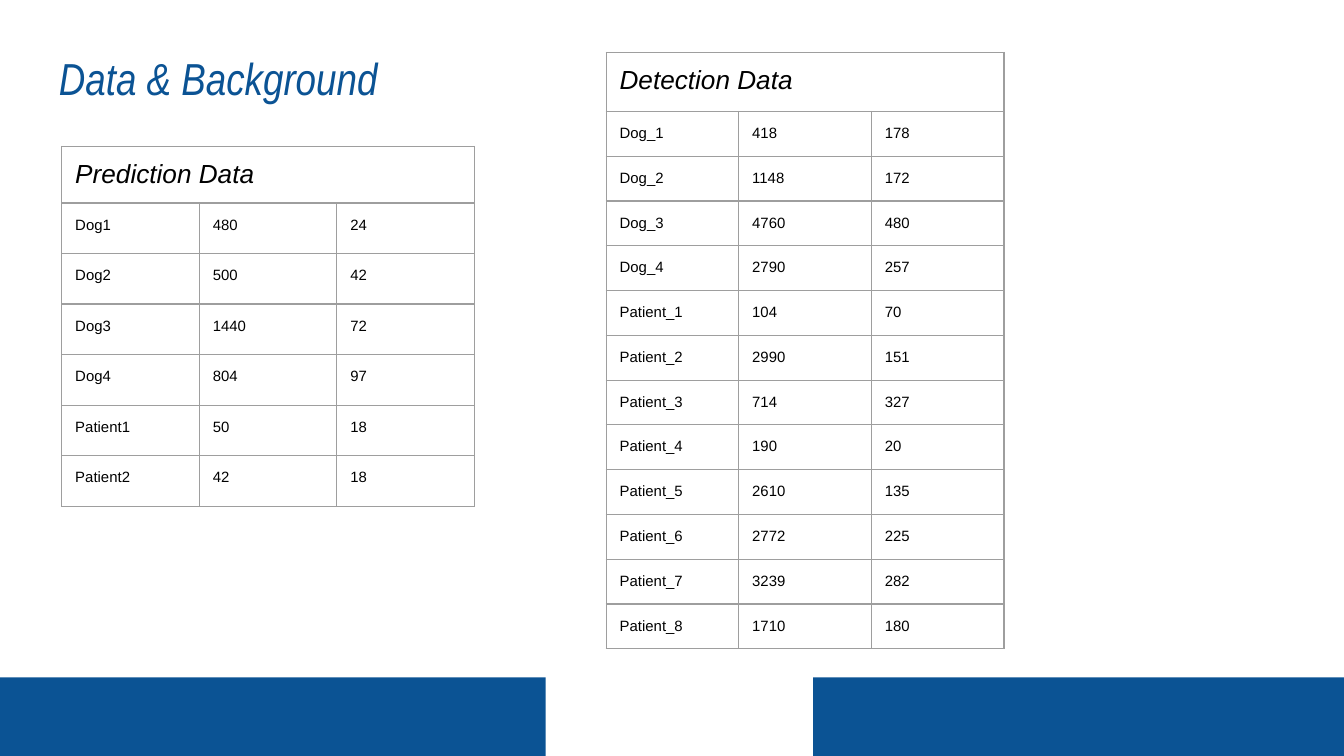
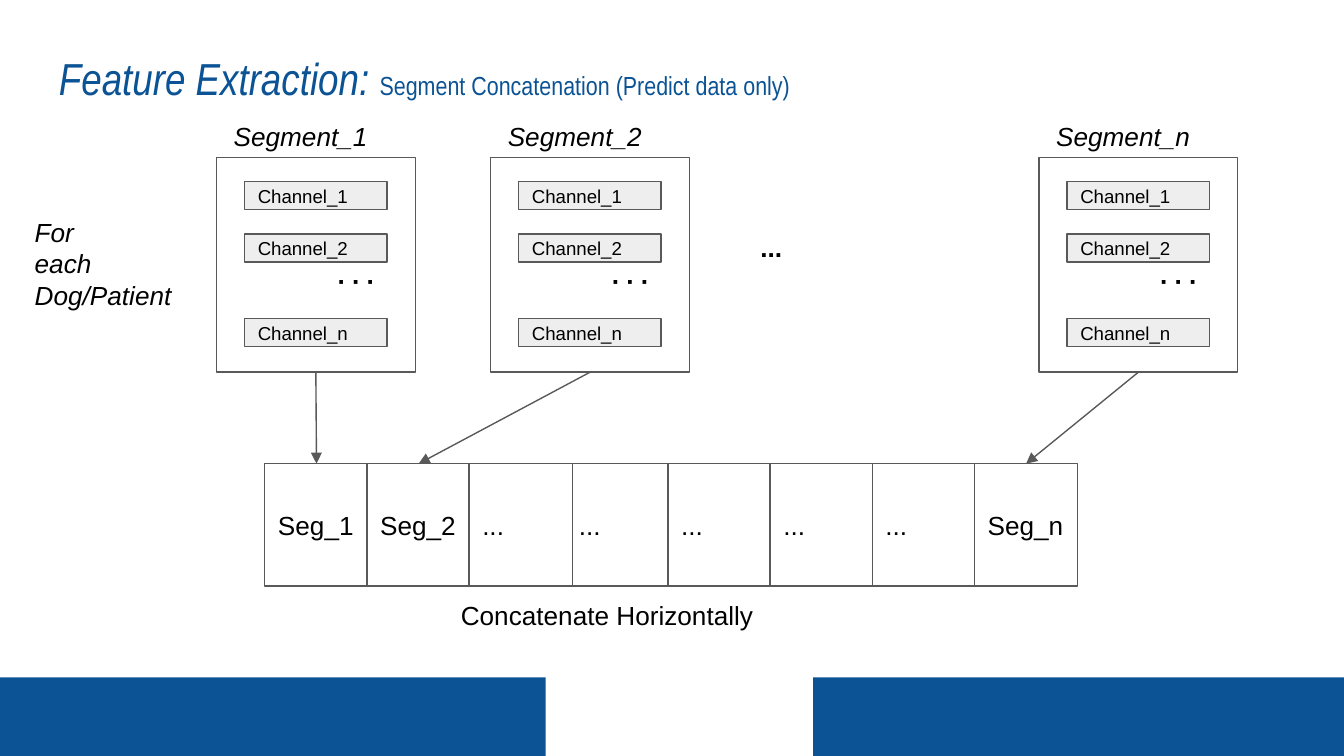
from lxml.etree import SubElement as Sub
from pptx import Presentation
from pptx.dml.color import RGBColor as Rgb
from pptx.enum.shapes import MSO_CONNECTOR as Conn, MSO_SHAPE as Kind
from pptx.enum.text import MSO_ANCHOR as Anchor, MSO_AUTO_SIZE as Auto, PP_ALIGN as Align
from pptx.oxml.ns import qn
from pptx.util import Inches as In, Pt

WIDE = 10
HIGH = WIDE * 9 / 16
HUE = dict(blue="0B5394", ink="000000", white="FFFFFF", pale="EEEEEE", line="595959", rule="9E9E9E")
PAD = 0.1

BANDS = [(-0.03, 4.09), (6.05, 3.95)]
HEAD = dict(size=24, font="Arial Narrow", hue="blue", ital=True)
SUB = dict(HEAD, size=14, ital=False)
TITLES = [
    [("Data & Background", HEAD)],
    [("Feature Extraction: ", HEAD), ("Segment Concatenation (Predict data only)", SUB)],
]

PREDICT = [
    ("Dog1", 480, 24), ("Dog2", 500, 42), ("Dog3", 1440, 72),
    ("Dog4", 804, 97), ("Patient1", 50, 18), ("Patient2", 42, 18),
]
DETECT = [
    ("Dog_1", 418, 178), ("Dog_2", 1148, 172), ("Dog_3", 4760, 480), ("Dog_4", 2790, 257),
    ("Patient_1", 104, 70), ("Patient_2", 2990, 151), ("Patient_3", 714, 327),
    ("Patient_4", 190, 20), ("Patient_5", 2610, 135), ("Patient_6", 2772, 225),
    ("Patient_7", 3239, 282), ("Patient_8", 1710, 180),
]
TABLES = [
    ("Prediction Data", PREDICT, (0.46, 1.09, 3.07), 0.42, 2.26),
    ("Detection Data", DETECT, (4.51, 0.39, 2.96), 0.44, 4),
]

SEGMENTS = [("Segment_1", 0), ("Segment_2", 1), ("Segment_n", 3)]
SEG_X, SEG_Y, SEG_W, SEG_H, SEG_STEP = 1.61, 1.17, 1.48, 1.6, 2.04
CHANNELS = [("Channel_1", 0.18), ("Channel_2", 0.57), ("Channel_n", 1.2)]
RUNS = [(4.21, ["...", "...", "...", "...", "Seg_n"]), (1.97, ["Seg_1", "Seg_2", "..."])]
CELL_W, CELL_H, CELL_Y, CELL_STEP = 0.77, 0.91, 3.45, 0.76


def write(frame, text, size=14, font="Arial", hue="ink", bold=False, ital=False, more=False):
    """Write text with one format, or add it to the end of what is there."""
    for i, line in enumerate(text.split("\n")):
        para = frame.paragraphs[0] if more or i == 0 else frame.add_paragraph()
        para.alignment = Align.LEFT
        run = para.add_run()
        run.text = line
        run.font.size, run.font.name = Pt(size), font
        run.font.bold, run.font.italic = bold, ital
        run.font.color.rgb = Rgb.from_string(HUE[hue])


def inset(item):
    """Give a frame or a cell equal margins."""
    item.margin_left = item.margin_right = item.margin_top = item.margin_bottom = In(PAD)


def paint(fill, hue):
    """Fill with a named colour, or leave clear."""
    if hue:
        fill.solid()
        fill.fore_color.rgb = Rgb.from_string(HUE[hue])
    else:
        fill.background()


def rect(home, at, fill=None, line=None, text="", **fmt):
    """Draw a rectangle with text set at mid height."""
    box = home.add_shape(Kind.RECTANGLE, *map(In, at))
    box.shadow.inherit = False
    paint(box.fill, fill)
    paint(box.line.fill, line)
    if line:
        box.line.width = Pt(0.75)
    if text:
        frame = box.text_frame
        inset(frame)
        frame.word_wrap, frame.vertical_anchor = True, Anchor.MIDDLE
        write(frame, text, **fmt)
    return box


def note(home, at, grow=True):
    """Add a text box and return its frame."""
    frame = home.add_textbox(*map(In, at)).text_frame
    inset(frame)
    frame.word_wrap = True
    frame.auto_size = Auto.SHAPE_TO_FIT_TEXT if grow else Auto.NONE
    return frame


def page(deck, title):
    """Add a slide with its bands and title."""
    home = deck.slides.add_slide(deck.slide_layouts[6]).shapes
    for x, w in BANDS:
        rect(home, (x, 5.04, w, 0.59), "blue")
    frame = note(home, (0.34, 0.22, 9.32, 4.77), grow=False)
    frame.paragraphs[0].line_spacing = 1.15
    for text, fmt in title:
        write(frame, text, more=True, **fmt)
    return home


def edge(cell):
    """Rule all four sides of a cell."""
    props = cell._tc.get_or_add_tcPr()
    for side in "LRTB":
        line = Sub(props, qn("a:ln" + side), w=str(Pt(0.75)))
        Sub(Sub(line, qn("a:solidFill")), qn("a:srgbClr"), val=HUE["rule"])


def grid(home, head, rows, at, top, body):
    """Add a table under one heading that spans it."""
    x, y, w = at
    cols = len(rows[0])
    table = home.add_table(len(rows) + 1, cols, *map(In, (x, y, w, top + body))).table
    table.first_row = table.horz_banding = False
    for col in table.columns:
        col.width = In(w / cols)
    for i, row in enumerate(table.rows):
        row.height = In(body / len(rows) if i else top)
        for j, cell in enumerate(row.cells):
            inset(cell)
            edge(cell)
            paint(cell.fill, None)
            if i:
                write(cell.text_frame, str(rows[i - 1][j]), size=8)
    write(table.cell(0, 0).text_frame, head, ital=True)
    table.cell(0, 0).merge(table.cell(0, cols - 1))


def segment(home, name, slot):
    """Draw one segment with its channels and return its frame."""
    home = home.add_group_shape().shapes
    x = SEG_X + slot * SEG_STEP
    frame = rect(home, (x, SEG_Y, SEG_W, SEG_H), line="line")
    for text, down in CHANNELS:
        rect(home, (x + 0.21, SEG_Y + down, 1.06, 0.21), "pale", "line", text, size=10)
    dots = rect(home, (x + 0.21, 2.05, 1.06, 0.23), "white", "white", ". . .", bold=True)
    dots.rotation = 180
    rect(home, (x + 0.03, 0.92, 1.45, 0.19), "white", text=name, ital=True)
    return frame


def strip(home):
    """Draw the joined row and return its named cells."""
    home = home.add_group_shape().shapes
    named = {}
    for x, texts in RUNS:
        for i, text in enumerate(texts):
            at = (x + i * CELL_STEP, CELL_Y, CELL_W, CELL_H)
            named[text] = rect(home, at, "white", "line", text)
    return named


def arrow(home, start, end):
    """Join the foot of one box to the top of another."""
    link = home.add_connector(Conn.STRAIGHT, 0, 0, 0, 0)
    link.begin_connect(start, 2)
    link.end_connect(end, 0)
    link.line.width = Pt(0.75)
    paint(link.line.fill, "line")
    Sub(link.line._get_or_add_ln(), qn("a:tailEnd"), type="triangle")
    Sub(link._element.spPr, qn("a:effectLst"))


def main():
    """Build both slides and save them."""
    deck = Presentation()
    deck.slide_width, deck.slide_height = In(WIDE), In(HIGH)

    data = page(deck, TITLES[0])
    for table in TABLES:
        grid(data, *table)

    flow = page(deck, TITLES[1])
    frames = {name: segment(flow, name, slot) for name, slot in SEGMENTS}
    write(note(flow, (0.16, 1.51, 1.32, 0.91)), "For\neach\nDog/Patient", ital=True)
    rect(flow, (5.56, 1.63, 1.55, 0.42), "white", text="...", bold=True)
    cells = strip(flow)
    for name, frame in frames.items():
        arrow(flow, frame, cells[name.replace("ment", "")])
    write(note(flow, (3.33, 4.36, 3.95, 0.44)), "Concatenate Horizontally")

    deck.save("out.pptx")


if __name__ == "__main__":
    main()
